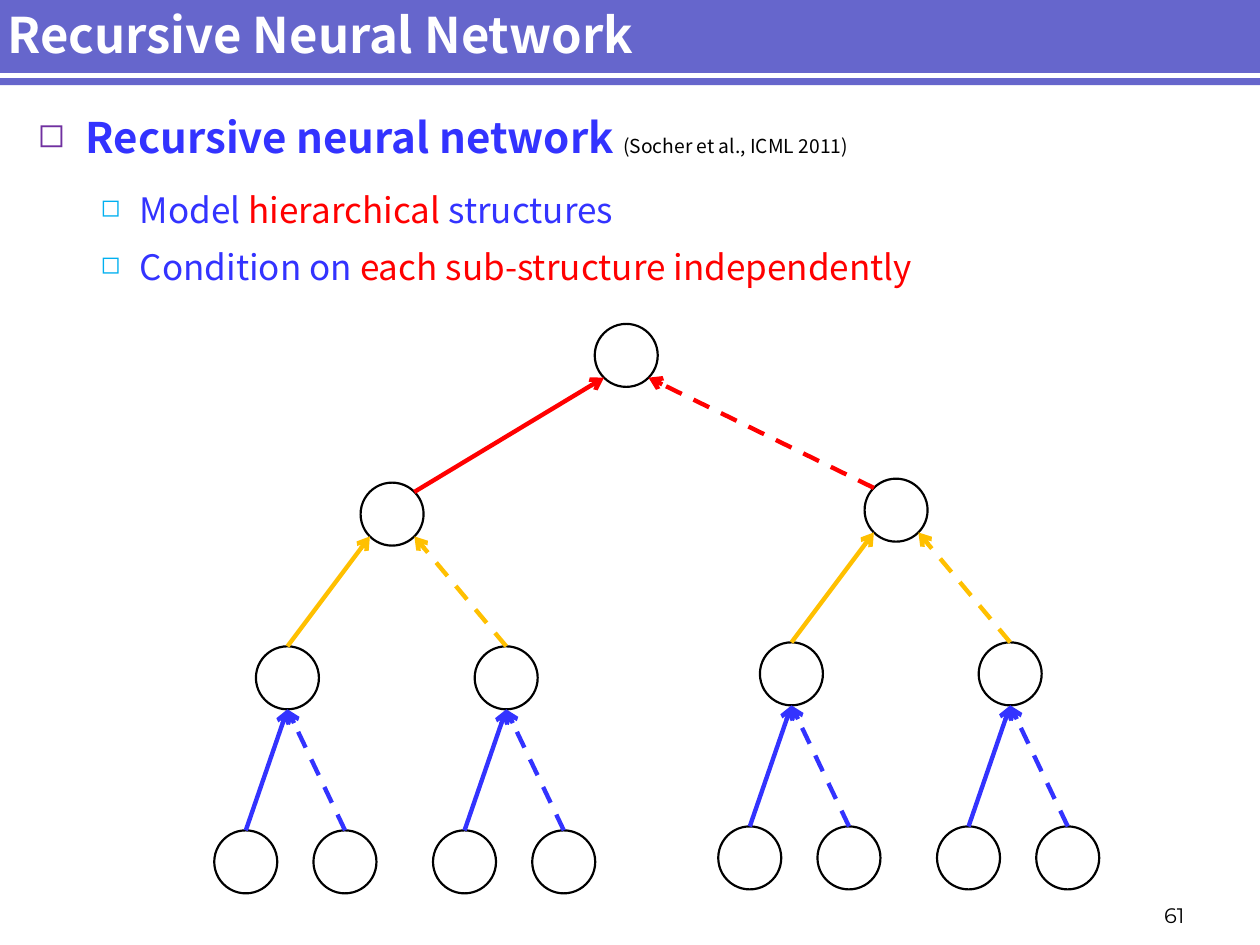
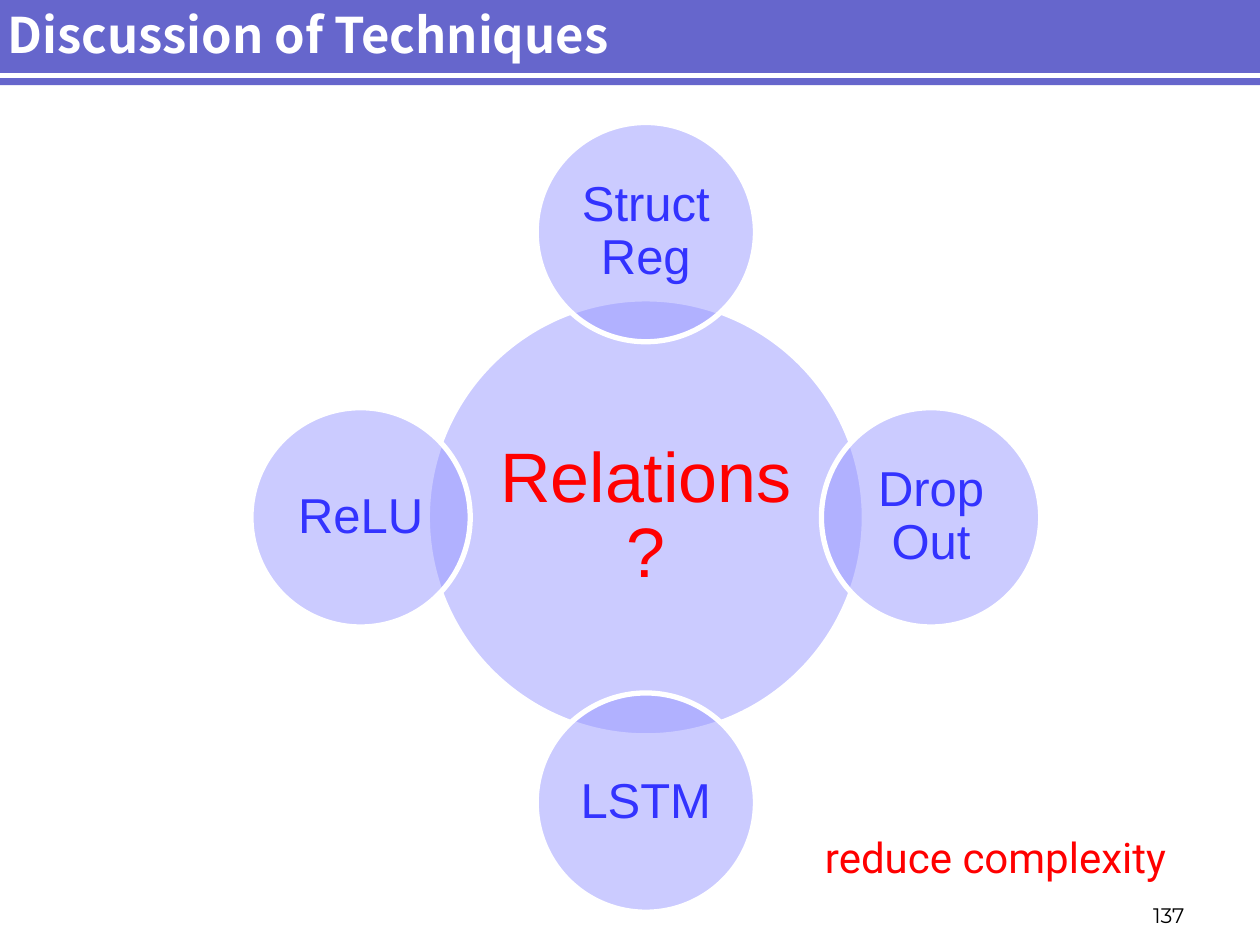
"""Build two lecture slides: a recursive network tree and a wheel of techniques."""
from dataclasses import dataclass
from typing import NamedTuple, Optional

from lxml.etree import SubElement
from pptx import Presentation
from pptx.dml.color import RGBColor
from pptx.enum.dml import MSO_LINE
from pptx.enum.shapes import MSO_CONNECTOR, MSO_SHAPE
from pptx.enum.text import MSO_ANCHOR, PP_ALIGN
from pptx.oxml.ns import qn
from pptx.util import Cm, Pt


@dataclass(frozen=True)
class Theme:
    """Colours, fonts and type sizes of the deck."""
    band: str = "6666CC"
    white: str = "FFFFFF"
    black: str = "000000"
    blue: str = "3333FF"
    red: str = "FF0000"
    amber: str = "FFC000"
    bubble: str = "9999FF"
    purple: str = "7030A0"
    sky: str = "00B0F0"
    heading_font: str = "Noto Sans CJK SC"
    number_font: str = "Montserrat"
    bubble_font: str = "Arial"
    note_font: str = "Roboto"
    title: int = 28
    topic: int = 24
    point: int = 20
    citation: int = 11
    number: int = 12
    hub: int = 40
    satellite: int = 28


THEME = Theme()


class Span(NamedTuple):
    """A piece of text in one format."""
    text: str
    color: str
    size: float
    font: str = THEME.heading_font
    bold: bool = False


class Bullet(NamedTuple):
    """Indents, colour, size and spacing of a list level, lengths in cm."""
    level: int
    indent: float
    hanging: float
    color: str
    percent: int
    before: float
    after: float


class Node(NamedTuple):
    """A tree node given by its left and top in cm."""
    x: float
    y: float

    def at(self, across: int, down: int) -> tuple[float, float]:
        """Return a rim point; -1, 0 and 1 choose the direction on each axis."""
        reach = NODE_SIZE / 2 * (0.707 if across and down else 1)
        middle = NODE_SIZE / 2
        return self.x + middle + across * reach, self.y + middle + down * reach


class Satellite(NamedTuple):
    """A small circle and its direction from the hub."""
    label: str
    across: int
    down: int


NODE_SIZE = 1.27
TOPIC = Bullet(0, 0.97, 0.97, THEME.purple, 80, 0, 12)
POINT = Bullet(1, 2.06, 0.79, THEME.sky, 70, 2.9, 6)
HUB_CENTER = (13.02, 10.43)
HUB_SIZE = 8.81
SATELLITE_SIZE = 4.42
SATELLITE_DISTANCE = 5.75
SATELLITES = (
    Satellite("Struct Reg", 0, -1),
    Satellite("Drop Out", 1, 0),
    Satellite("LSTM", 0, 1),
    Satellite("ReLU", -1, 0),
)


def rgb(color: str) -> RGBColor:
    """Turn a hex string into a colour."""
    return RGBColor.from_string(color)


def add_bullet(paragraph, bullet: Bullet) -> None:
    """Give a paragraph its square bullet, indents and spacing."""
    properties = paragraph._p.get_or_add_pPr()
    properties.set("marL", str(Cm(bullet.indent)))
    properties.set("indent", str(-Cm(bullet.hanging)))
    tint = SubElement(properties, qn("a:buClr"))
    SubElement(tint, qn("a:srgbClr"), val=bullet.color)
    SubElement(properties, qn("a:buSzPct"), val=str(bullet.percent * 1000))
    SubElement(properties, qn("a:buChar"), char="◻")
    paragraph.level = bullet.level
    if bullet.before:
        paragraph.space_before = Pt(bullet.before)
    paragraph.space_after = Pt(bullet.after)


def write(frame, *lines: tuple[Span, ...], bullets: tuple[Bullet, ...] = (),
          align: PP_ALIGN = PP_ALIGN.LEFT, anchor: MSO_ANCHOR = MSO_ANCHOR.TOP,
          inset: Optional[float] = None, spacing: Optional[float] = None) -> None:
    """Write lines of formatted spans into a text frame."""
    frame.word_wrap = True
    frame.vertical_anchor = anchor
    if inset is not None:
        frame.margin_left = frame.margin_right = Cm(inset)
        frame.margin_top = frame.margin_bottom = Cm(inset)
    for index, spans in enumerate(lines):
        paragraph = frame.add_paragraph() if index else frame.paragraphs[0]
        if bullets:
            add_bullet(paragraph, bullets[index])
        paragraph.alignment = align
        if spacing:
            paragraph.line_spacing = spacing
        for span in spans:
            run = paragraph.add_run()
            run.text = span.text
            run.font.name = span.font
            run.font.size = Pt(span.size)
            run.font.bold = span.bold
            run.font.color.rgb = rgb(span.color)


def text_frame(slide, left: float, top: float, width: float, height: float):
    """Add a text box and return its frame."""
    return slide.shapes.add_textbox(Cm(left), Cm(top), Cm(width), Cm(height)).text_frame


def add_outline(slide, kind: MSO_SHAPE, left: float, top: float, width: float,
                height: float, fill: Optional[str] = None,
                line: Optional[str] = None, weight: float = 1):
    """Add a preset shape without a shadow."""
    shape = slide.shapes.add_shape(kind, Cm(left), Cm(top), Cm(width), Cm(height))
    shape.shadow.inherit = False
    if fill:
        shape.fill.solid()
        shape.fill.fore_color.rgb = rgb(fill)
    else:
        shape.fill.background()
    if line:
        shape.line.color.rgb = rgb(line)
        shape.line.width = Pt(weight)
    else:
        shape.line.fill.background()
    return shape


def add_line(slide, start: tuple[float, float], end: tuple[float, float], color: str,
             weight: float, dashed: bool = False, arrow: bool = False) -> None:
    """Draw a straight line, with an arrowhead at its end if asked."""
    line = slide.shapes.add_connector(
        MSO_CONNECTOR.STRAIGHT, *(Cm(value) for value in (*start, *end)))
    line.line.color.rgb = rgb(color)
    line.line.width = Pt(weight)
    if dashed:
        line.line.dash_style = MSO_LINE.DASH
    if arrow:
        SubElement(line.line._get_or_add_ln(), qn("a:tailEnd"), type="arrow")
    SubElement(line._element.spPr, qn("a:effectLst"))


def add_page(deck, title: str, number: int):
    """Add a slide with the title band and the page number."""
    slide = deck.slides.add_slide(deck.slide_layouts[6])
    add_outline(slide, MSO_SHAPE.RECTANGLE, -0.1, -0.08, 25.5, 1.8, fill=THEME.band)
    add_line(slide, (-0.1, 1.52), (25.4, 1.52), THEME.white, 3)
    write(text_frame(slide, -0.1, 0.13, 22.28, 1.09),
          (Span(title, THEME.white, THEME.title, bold=True),), anchor=MSO_ANCHOR.MIDDLE)
    write(text_frame(slide, 21.89, 17.93, 2.24, 0.89),
          (Span(str(number), THEME.black, THEME.number, THEME.number_font),),
          align=PP_ALIGN.RIGHT, anchor=MSO_ANCHOR.BOTTOM)
    return slide


def add_node(slide, x: float, y: float) -> Node:
    """Draw a tree node."""
    add_outline(slide, MSO_SHAPE.FLOWCHART_CONNECTOR, x, y, NODE_SIZE, NODE_SIZE,
                line=THEME.black, weight=1.25)
    return Node(x, y)


def add_branches(slide, starts: tuple, ends: tuple, color: str) -> None:
    """Join two children to their parent, solid on the left and dashed on the right."""
    for start, end, dashed in zip(starts, ends, (False, True)):
        add_line(slide, start, end, color, 2.5, dashed=dashed, arrow=True)


def add_subtree(slide, left: float, top: float) -> Node:
    """Draw four leaves, their parents and the node above; return that node."""
    parents = []
    for pair_left in (left, left + 4.41):
        leaves = [add_node(slide, pair_left + shift, top) for shift in (0, 2)]
        parent = add_node(slide, pair_left + 0.84, top - 3.71)
        add_branches(slide, tuple(leaf.at(0, -1) for leaf in leaves),
                     (parent.at(0, 1),) * 2, THEME.blue)
        parents.append(parent)
    head = add_node(slide, left + 2.95, top - 7.01)
    add_branches(slide, tuple(parent.at(0, -1) for parent in parents),
                 (head.at(-1, 1), head.at(1, 1)), THEME.amber)
    return head


def build_network(deck) -> None:
    """Build the recursive neural network slide."""
    slide = add_page(deck, "Recursive Neural Network", 61)
    write(text_frame(slide, 0.51, 2.13, 24, 15.6),
          (Span("Recursive neural network ", THEME.blue, THEME.topic, bold=True),
           Span("(Socher et al., ICML 2011)", THEME.black, THEME.citation)),
          (Span("Model ", THEME.blue, THEME.point),
           Span("hierarchical ", THEME.red, THEME.point),
           Span("structures", THEME.blue, THEME.point)),
          (Span("Condition on ", THEME.blue, THEME.point),
           Span("each sub-structure independently", THEME.red, THEME.point)),
          bullets=(TOPIC, POINT, POINT))
    left_head = add_subtree(slide, 4.32, 16.74)
    right_head = add_subtree(slide, 14.48, 16.66)
    root = add_node(slide, 11.99, 6.53)
    add_branches(slide, (left_head.at(1, -1), right_head.at(-1, -1)),
                 (root.at(-1, 1), root.at(1, 1)), THEME.red)


def add_bubble(slide, center: tuple[float, float], size: float, label: Span,
               inset: float) -> None:
    """Draw a half-transparent circle with a centred label."""
    left, top = (value - size / 2 for value in center)
    bubble = add_outline(slide, MSO_SHAPE.OVAL, left, top, size, size,
                         fill=THEME.bubble, line=THEME.white, weight=3)
    tint = bubble._element.spPr.find(qn("a:solidFill")).find(qn("a:srgbClr"))
    SubElement(tint, qn("a:alpha"), val="50000")
    write(bubble.text_frame, (label,), align=PP_ALIGN.CENTER,
          anchor=MSO_ANCHOR.MIDDLE, inset=inset, spacing=0.9)


def build_techniques(deck) -> None:
    """Build the discussion slide with a hub and four satellites."""
    slide = add_page(deck, "Discussion of Techniques", 137)
    add_bubble(slide, HUB_CENTER, HUB_SIZE,
               Span("Relations?", THEME.red, THEME.hub, THEME.bubble_font), 0.15)
    for satellite in SATELLITES:
        center = (HUB_CENTER[0] + satellite.across * SATELLITE_DISTANCE,
                  HUB_CENTER[1] + satellite.down * SATELLITE_DISTANCE)
        add_bubble(slide, center, SATELLITE_SIZE,
                   Span(satellite.label, THEME.blue, THEME.satellite, THEME.bubble_font), 0.1)
    write(text_frame(slide, 16.38, 16.64, 7.75, 1.27),
          (Span("reduce complexity", THEME.red, THEME.topic, THEME.note_font),))


def main() -> None:
    """Build and save the deck."""
    deck = Presentation()
    deck.slide_width, deck.slide_height = Cm(25.4), Cm(19.05)
    build_network(deck)
    build_techniques(deck)
    deck.save("out.pptx")


if __name__ == "__main__":
    main()
